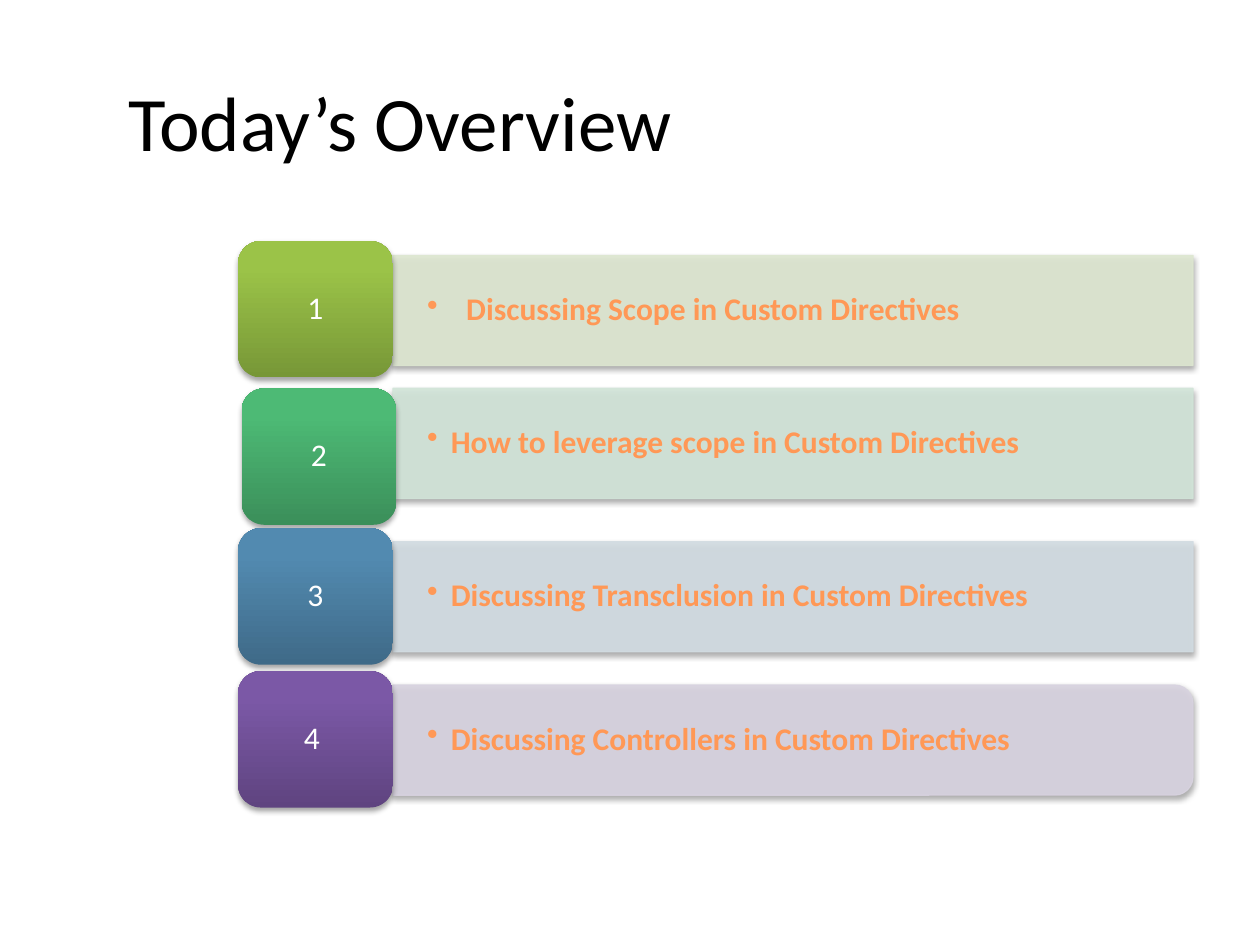
from lxml.etree import SubElement
from pptx import Presentation
from pptx.dml.color import RGBColor
from pptx.enum.shapes import MSO_SHAPE
from pptx.enum.text import MSO_ANCHOR, PP_ALIGN
from pptx.oxml.ns import qn
from pptx.util import Cm, Pt

# label, text, bar colour, tile stops, bar top, tile left, tile top, indent
ROWS = [
    ("1", "Discussing Scope in Custom Directives",
     "DEE7D1", ("779737", "9BC348"), 5.15, 4.8, 4.86, 0.79),
    ("2", "How to leverage scope in Custom Directives",
     "D2E5D9", ("3B8F5A", "4DBA75"), 7.83, 4.87, 7.83, 0.48),
    ("3", "Discussing Transclusion in Custom Directives",
     "D2DCE2", ("3F6A88", "528AB0"), 10.92, 4.8, 10.65, 0.48),
    ("4 ", "Discussing Controllers in Custom Directives",
     "D8D3E0", ("5F4480", "7B58A6"), 13.81, 4.8, 13.53, 0.48),
]
LEFT, WIDE, HIGH = 7.92, 16.13, 2.22
SHADE = {"blurRad": "40000", "dist": "23000", "dir": "5400000", "rotWithShape": "0"}


def write(shape, text, size, color, pad, bold=False):
    """Set one line of middle-anchored text and return its paragraph."""
    frame = shape.text_frame
    side, end = Cm(pad[0]), Cm(pad[1])
    look = {"word_wrap": True, "vertical_anchor": MSO_ANCHOR.MIDDLE,
            "margin_left": side, "margin_right": side,
            "margin_top": end, "margin_bottom": end}
    for name, value in look.items():
        setattr(frame, name, value)
    para = frame.paragraphs[0]
    run = para.add_run()
    run.text = text
    for name, value in {"name": "Calibri", "size": Pt(size), "bold": bold}.items():
        setattr(run.font, name, value)
    run.font.color.rgb = RGBColor.from_string(color)
    return para


def shade(shape):
    """Give the shape a soft shadow below it."""
    shape.shadow.inherit = False
    effects = shape._element.spPr.find(qn("a:effectLst"))
    outer = SubElement(effects, qn("a:outerShdw"), SHADE)
    black = SubElement(outer, qn("a:srgbClr"), val="000000")
    SubElement(black, qn("a:alpha"), val="35000")


deck = Presentation()
deck.slide_width, deck.slide_height = Cm(25.4), Cm(19.05)
shapes = deck.slides.add_slide(deck.slide_layouts[6]).shapes

for label, text, tint, stops, top, x, y, indent in ROWS:
    # Bar, turned so that its rounded end can point right
    kind = MSO_SHAPE.ROUND_2_SAME_RECTANGLE if text == ROWS[-1][1] else MSO_SHAPE.RECTANGLE
    bar = shapes.add_shape(kind, Cm(LEFT + (WIDE - HIGH) / 2),
                           Cm(top - (WIDE - HIGH) / 2), Cm(HIGH), Cm(WIDE))
    bar.rotation = 90
    bar.fill.solid()
    bar.line.width = Pt(0.75)
    for paint in (bar.fill.fore_color, bar.line.color):
        paint.rgb = RGBColor.from_string(tint)
    for node in bar._element.spPr.iter(qn("a:srgbClr")):
        SubElement(node, qn("a:alpha"), val="90000")
    shade(bar)

    # Bulleted topic
    topic = shapes.add_textbox(Cm(LEFT), Cm(top), Cm(WIDE), Cm(HIGH))
    para = write(topic, text, 18, "FF9856", (0.69, 0.36), True)
    para.level, para.line_spacing = 1, 0.9
    props = para._p.get_or_add_pPr()
    props.set("marL", str(Cm(indent)))
    props.set("indent", str(-Cm(indent)))
    SubElement(props, qn("a:buChar"), char="•")

    # Numbered tile
    tile = shapes.add_shape(MSO_SHAPE.ROUNDED_RECTANGLE, Cm(x), Cm(y), Cm(3.12), Cm(2.75))
    tile.fill.gradient()
    tile.fill.gradient_angle = 90
    for stop, color, spot in zip(tile.fill.gradient_stops, stops, (0, 0.8)):
        stop.color.rgb = RGBColor.from_string(color)
        stop.position = spot
    tile.line.fill.background()
    shade(tile)
    para = write(tile, label, 18, "FFFFFF", (0.18, 0.1))
    para.alignment, para.line_spacing = PP_ALIGN.CENTER, 0.9

# Title
title = shapes.add_textbox(Cm(2.34), Cm(0.84), Cm(22.43), Cm(3.17))
write(title, "Today’s Overview", 44, "000000", (0.25, 0.13))

deck.save("out.pptx")
